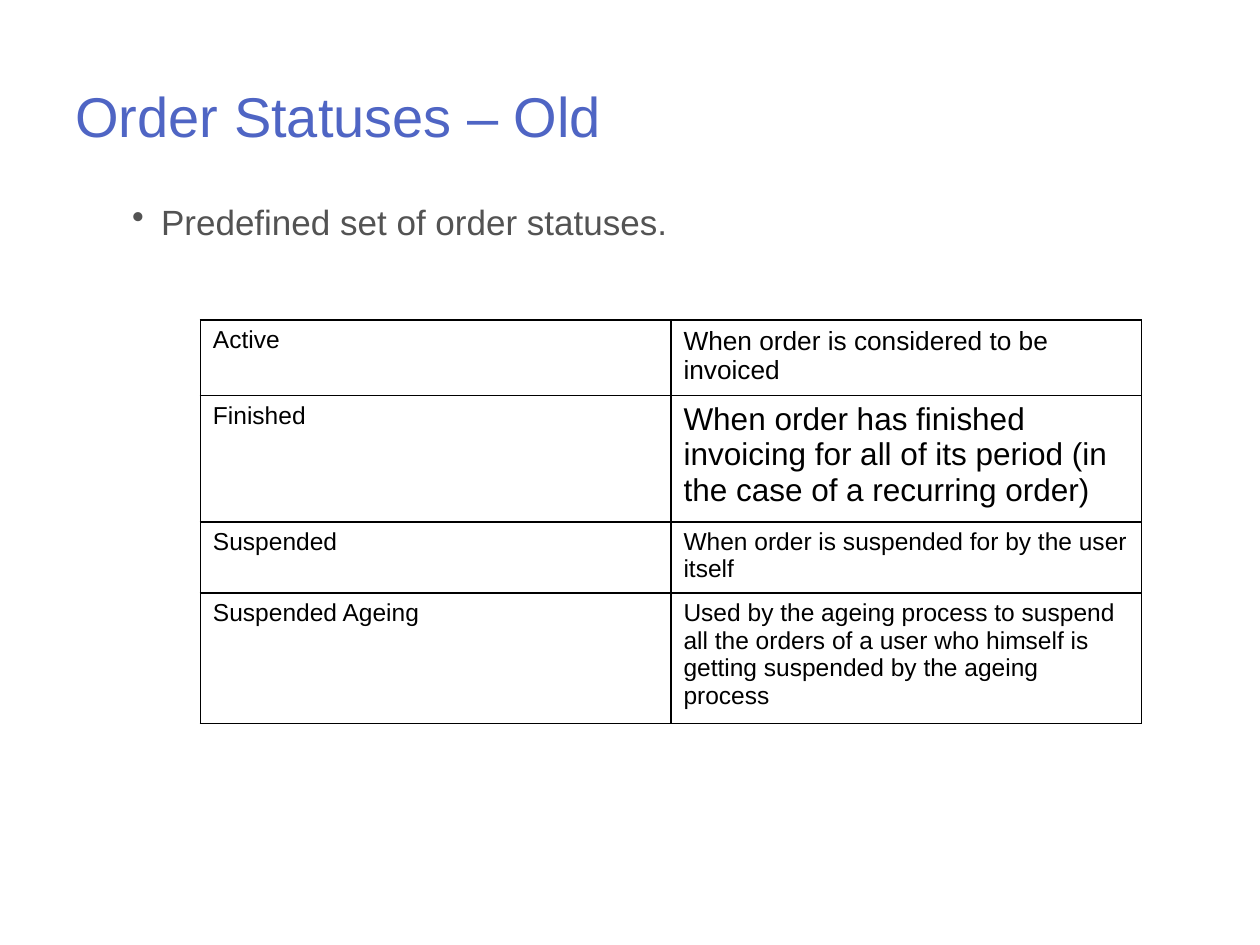
from lxml import etree
from pptx import Presentation
from pptx.dml.color import RGBColor
from pptx.enum import text
from pptx.oxml import ns
from pptx.util import Inches, Pt

STATUSES = [
    ("Active", "When order is considered to be invoiced", 15),
    ("Finished", "When order has finished invoicing for all of its period "
                 "(in the case of a recurring order)", 18),
    ("Suspended", "When order is suspended for by the user itself", 14),
    ("Suspended Ageing", "Used by the ageing process to suspend all the orders of a user "
                         "who himself is getting suspended by the ageing process", 14),
]


def rgb(value):
    return RGBColor.from_string(value)


def write(frame, wording, size, color):
    paragraph = frame.paragraphs[0]
    run = paragraph.add_run()
    run.text = wording
    font_format = {"name": "Arial", "size": Pt(size)}
    for key, value in font_format.items():
        setattr(run.font, key, value)
    run.font.color.rgb = rgb(color)
    return paragraph


def add_text_area(slide, box, anchor):
    frame = slide.shapes.add_textbox(*map(Inches, box)).text_frame
    frame.word_wrap = True
    frame.vertical_anchor = anchor
    return frame


def add_title(slide, box):
    title = add_text_area(slide, box, text.MSO_ANCHOR.MIDDLE)
    write(title, "Order Statuses – Old", 32, "4F65C4")


def add_summary(slide, box):
    summary = add_text_area(slide, box, text.MSO_ANCHOR.TOP)
    paragraph = write(summary, "Predefined set of order statuses.", 20, "535353")
    hanging = Inches(0.23)
    properties = paragraph._p.get_or_add_pPr()
    properties.set("marL", str(hanging))
    properties.set("indent", str(-hanging))
    etree.SubElement(properties, ns.qn("a:buChar"), char="•")


def add_borders(cell, color="000000", width=1):
    properties = cell._tc.get_or_add_tcPr()
    for position, side in enumerate(("lnL", "lnR", "lnT", "lnB")):
        line = etree.Element(ns.qn(f"a:{side}"), w=str(Pt(width)))
        fill = etree.SubElement(line, ns.qn("a:solidFill"))
        etree.SubElement(fill, ns.qn("a:srgbClr"), val=color)
        properties.insert(position, line)


def add_status_table(slide, box):
    """Row heights are minimums; rows grow to fit their descriptions."""
    table = slide.shapes.add_table(len(STATUSES), 2, *map(Inches, box)).table
    table.first_row = table.horz_banding = False
    for row, (status, meaning, meaning_size) in zip(table.rows, STATUSES):
        row.height = Inches(0.5)
        for cell, wording, size in zip(row.cells, (status, meaning), (14, meaning_size)):
            write(cell.text_frame, wording, size, "000000")
            cell.fill.background()
            add_borders(cell)


def main():
    deck = Presentation()
    deck.slide_width, deck.slide_height = Inches(10), Inches(7.5)
    slide = deck.slides.add_slide(deck.slide_layouts[6])
    add_title(slide, (0.5, 0.5, 7, 0.83))
    add_summary(slide, (0.95, 1.54, 7, 3.94))
    add_status_table(slide, (1.59, 2.54, 7.47, 2))
    deck.save("out.pptx")


if __name__ == "__main__":
    main()
